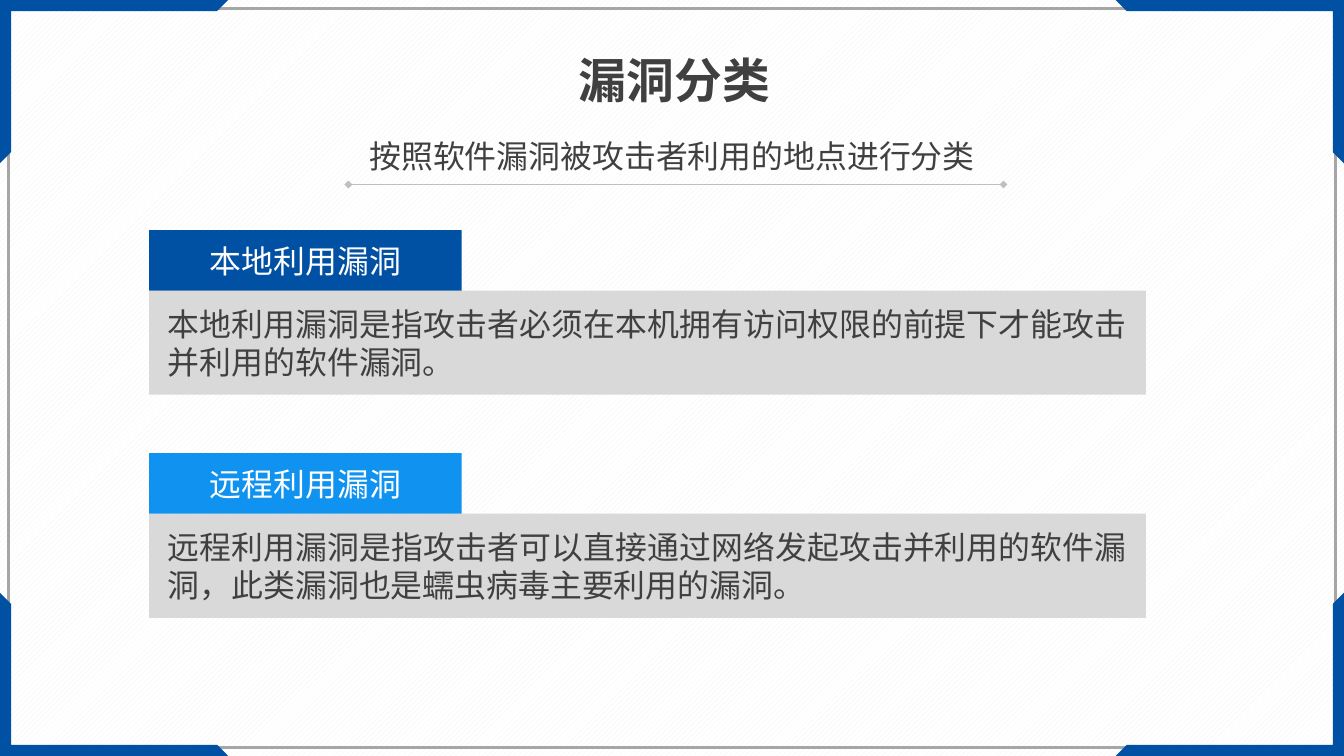
import pptx
import pptx.util
import pptx.dml.color
import pptx.enum.dml
import pptx.enum.shapes
import pptx.enum.text
import lxml.etree
from pptx.util import Pt

RGBColor = pptx.dml.color.RGBColor
PP_ALIGN = pptx.enum.text.PP_ALIGN
NAVY = RGBColor(0x00, 0x50, 0xA3)
SKY = RGBColor(0x10, 0x92, 0xF1)
INK = RGBColor(0x40, 0x40, 0x40)
PANEL = RGBColor(0xD9, 0xD9, 0xD9)
FRAME = RGBColor(0xA6, 0xA6, 0xA6)
RULE = RGBColor(0xBF, 0xBF, 0xBF)
STRIPE = RGBColor(0xF2, 0xF2, 0xF2)
WHITE = RGBColor(0xFF, 0xFF, 0xFF)

CJK = "Noto Sans CJK SC"
LATIN = "Arial"
WIDTH, HEIGHT = 1012.5, 569.5

CATEGORIES = [
    ("本地利用漏洞", NAVY,
     "本地利用漏洞是指攻击者必须在本机拥有访问权限的前提下才能攻击并利用的软件漏洞。"),
    ("远程利用漏洞", SKY,
     "远程利用漏洞是指攻击者可以直接通过网络发起攻击并利用的软件漏洞，此类漏洞也是蠕虫病毒主要利用的漏洞。"),
]


def write(frame, text, size, color, font, align, bold=False):
    paragraph = frame.paragraphs[0]
    paragraph.alignment = align
    run = paragraph.add_run()
    run.text = text
    run.font.size = Pt(size)
    run.font.bold = bold
    run.font.color.rgb = color
    run.font.name = font
    east_asian = lxml.etree.SubElement(run.font._element, pptx.oxml.ns.qn("a:ea"))
    east_asian.set("typeface", CJK)


def add_block(slide, left, top, width, height, fill):
    block = slide.shapes.add_shape(
        pptx.enum.shapes.MSO_SHAPE.RECTANGLE, Pt(left), Pt(top), Pt(width), Pt(height))
    block.shadow.inherit = False
    block.fill.solid()
    block.fill.fore_color.rgb = fill
    block.line.fill.background()
    block.text_frame.word_wrap = True
    block.text_frame.vertical_anchor = pptx.enum.text.MSO_ANCHOR.MIDDLE
    return block


def add_corner(slide, x, y, across, down):
    arm, drop, band = 172, 123, 8.4
    outline = [(0, 0), (arm, 0), (arm - band, band), (band, band),
               (band, drop - band), (0, drop)]
    points = [(Pt(x + across * dx), Pt(y + down * dy)) for dx, dy in outline]
    builder = slide.shapes.build_freeform(*points[0])
    builder.add_line_segments(points[1:], close=True)
    corner = builder.convert_to_shape()
    corner.shadow.inherit = False
    corner.fill.solid()
    corner.fill.fore_color.rgb = NAVY
    corner.line.fill.background()


def add_frame(slide, width, height):
    backdrop = slide.background.fill
    backdrop.patterned()
    backdrop.pattern = pptx.enum.dml.MSO_PATTERN.WIDE_UPWARD_DIAGONAL
    backdrop.fore_color.rgb = STRIPE
    backdrop.back_color.rgb = WHITE
    margin = 6.4
    border = add_block(slide, margin, margin, width - 2 * margin, height - 2 * margin, WHITE)
    border.fill.background()
    border.line.color.rgb = FRAME
    border.line.width = Pt(2)
    for x, across in ((0, 1), (width, -1)):
        for y, down in ((0, 1), (height, -1)):
            add_corner(slide, x, y, across, down)


def add_heading(slide, left, top, width):
    title = slide.shapes.add_textbox(Pt(left + 182), Pt(top), Pt(160), Pt(51))
    title.text_frame.word_wrap = False
    write(title.text_frame, "漏洞分类", 36, INK, CJK, PP_ALIGN.LEFT, True)

    subtitle = slide.shapes.add_textbox(Pt(left), Pt(top + 65), Pt(width), Pt(36))
    subtitle.text_frame.word_wrap = True
    write(subtitle.text_frame, "按照软件漏洞被攻击者利用的地点进行分类", 24, INK, CJK, PP_ALIGN.CENTER)

    rule = slide.shapes.add_connector(
        pptx.enum.shapes.MSO_CONNECTOR.STRAIGHT,
        Pt(left + 15.5), Pt(top + 104.5), Pt(left + width - 9.5), Pt(top + 104.5))
    rule.line.color.rgb = RULE
    rule.line.width = Pt(0.5)
    for end in ("a:headEnd", "a:tailEnd"):
        tip = lxml.etree.SubElement(rule.line._get_or_add_ln(), pptx.oxml.ns.qn(end))
        tip.set("type", "diamond")
    lxml.etree.SubElement(rule._element.spPr, pptx.oxml.ns.qn("a:effectLst"))


def add_category(slide, left, top, width, name, color, meaning):
    label_height = 45.6
    panel = add_block(slide, left, top + label_height, width, 78.5, PANEL)
    panel.text_frame.margin_left = panel.text_frame.margin_right = Pt(14.2)
    write(panel.text_frame, meaning, 24, INK, LATIN, PP_ALIGN.JUSTIFY)
    label = add_block(slide, left, top, 235.5, label_height, color)
    write(label.text_frame, name, 24, WHITE, LATIN, PP_ALIGN.CENTER)


def main():
    deck = pptx.Presentation()
    deck.slide_width, deck.slide_height = Pt(WIDTH), Pt(HEIGHT)
    slide = deck.slides.add_slide(deck.slide_layouts[6])
    add_frame(slide, WIDTH, HEIGHT)
    add_heading(slide, 247, 34.5, 518.5)
    for row, category in enumerate(CATEGORIES):
        add_category(slide, 112.3, 173.3 + row * 168.1, 751, *category)
    deck.save("out.pptx")


if __name__ == "__main__":
    main()
